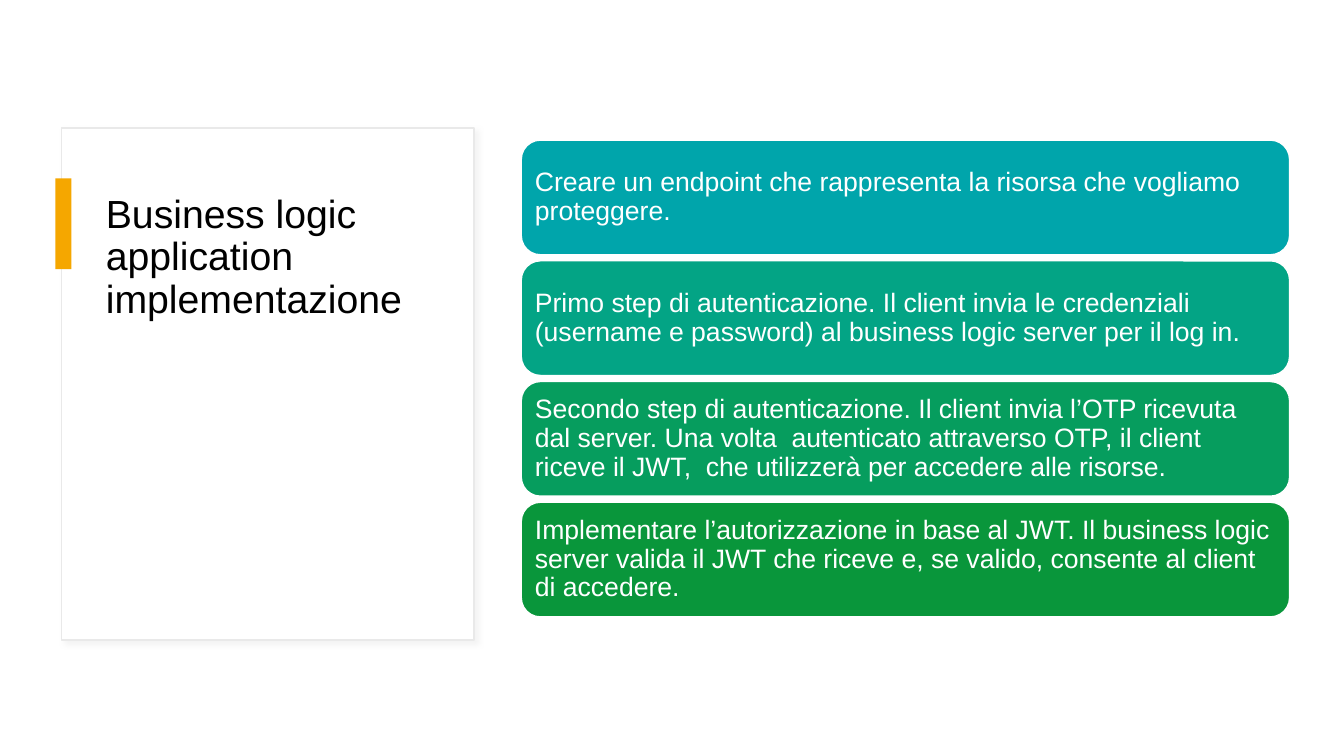
from lxml import etree
from pptx import Presentation
from pptx.dml.color import RGBColor
from pptx.enum.shapes import MSO_SHAPE
from pptx.enum.text import MSO_ANCHOR, MSO_AUTO_SIZE, PP_ALIGN
from pptx.oxml.ns import qn
from pptx.util import Inches, Pt

RECT, ROUND = MSO_SHAPE.RECTANGLE, MSO_SHAPE.ROUNDED_RECTANGLE
TOP, MIDDLE = MSO_ANCHOR.TOP, MSO_ANCHOR.MIDDLE
LEFT, NO_FIT = PP_ALIGN.LEFT, MSO_AUTO_SIZE.NONE

WHITE = RGBColor(0xFF, 0xFF, 0xFF)
BLACK = RGBColor(0x00, 0x00, 0x00)
EDGE = RGBColor(0xE9, 0xE9, 0xE9)
SHADE = RGBColor(0xD9, 0xD9, 0xD9)
AMBER = RGBColor(0xF5, 0xA7, 0x00)
CYAN = RGBColor(0x00, 0xA5, 0xAB)
TEAL = RGBColor(0x03, 0xA4, 0x85)
JADE = RGBColor(0x06, 0x9D, 0x5E)
GREEN = RGBColor(0x09, 0x96, 0x3B)

TITLE = "Business logic application implementazione"
STEPS = [
    (CYAN, "Creare un endpoint che rappresenta la risorsa che vogliamo proteggere."),
    (TEAL, "Primo step di autenticazione. Il client invia le credenziali "
           "(username e password) al business logic server per il log in."),
    (JADE, "Secondo step di autenticazione. Il client invia l’OTP ricevuta dal "
           "server. Una volta  autenticato attraverso OTP, il client riceve il "
           "JWT,  che utilizzerà per accedere alle risorse."),
    (GREEN, "Implementare l’autorizzazione in base al JWT. Il business logic "
            "server valida il JWT che riceve e, se valido, consente al client "
            "di accedere."),
]


def put(obj, **values):
    for name, value in values.items():
        setattr(obj, name, value)


def add_box(slide, kind, box, fill, line=None):
    shape = slide.shapes.add_shape(kind, *map(Inches, box))
    shape.shadow.inherit = False
    shape.fill.solid()
    shape.fill.fore_color.rgb = fill
    if line is None:
        shape.line.fill.background()
    else:
        shape.line.color.rgb = line
        shape.line.width = Pt(1)
    return shape


def add_shade(shape):
    """Give the shape a soft shadow towards the lower right."""
    effects = shape._element.spPr.find(qn("a:effectLst"))
    outer = etree.SubElement(effects, qn("a:outerShdw"), blurRad=str(Pt(4)),
                             dist=str(Pt(3)), dir="2700000", algn="tl")
    color = etree.SubElement(outer, qn("a:srgbClr"), val=str(SHADE))
    etree.SubElement(color, qn("a:alpha"), val="30000")


def write(shape, text, size, color, anchor, inset):
    side, top = map(Inches, inset)
    frame = shape.text_frame
    put(frame, text=text, word_wrap=True, auto_size=NO_FIT,
        vertical_anchor=anchor, margin_left=side, margin_right=side,
        margin_top=top, margin_bottom=top)
    para = frame.paragraphs[0]
    put(para, alignment=LEFT, line_spacing=0.9, space_before=Pt(0))
    put(para.font, name="Arial", size=Pt(size))
    para.font.color.rgb = color


def add_card(slide, box):
    """Place the framed title with its amber tab."""
    x, y, wide, high = box
    add_shade(add_box(slide, RECT, box, WHITE, EDGE))
    title = slide.shapes.title
    put(title, left=Inches(x + 0.34), top=Inches(y + 0.61),
        width=Inches(wide - 0.7), height=Inches(high - 1.23))
    write(title, TITLE, 28, BLACK, TOP, (0.1, 0.05))
    # The title lies above the card
    slide.shapes._spTree.append(title._element)
    add_box(slide, RECT, (x - 0.06, y + 0.5, 0.16, 0.9), AMBER)


def add_steps(slide, box, gap=0.06):
    """Stack the steps as equal bars that fill the box."""
    x, y, wide, high = box
    pitch = (high + gap) / len(STEPS)
    for row, (fill, text) in enumerate(STEPS):
        bar = add_box(slide, ROUND, (x, y + row * pitch, wide, pitch - gap),
                      fill, WHITE)
        write(bar, text, 19, WHITE, MIDDLE, (0.08, 0.08))


def main():
    deck = Presentation()
    put(deck, slide_width=Inches(13.33), slide_height=Inches(7.5))
    slide = deck.slides.add_slide(deck.slide_layouts[5])
    add_card(slide, (0.61, 1.27, 4.09, 5.08))
    add_steps(slide, (5.17, 1.39, 7.62, 4.73))
    deck.save("out.pptx")


if __name__ == "__main__":
    main()
